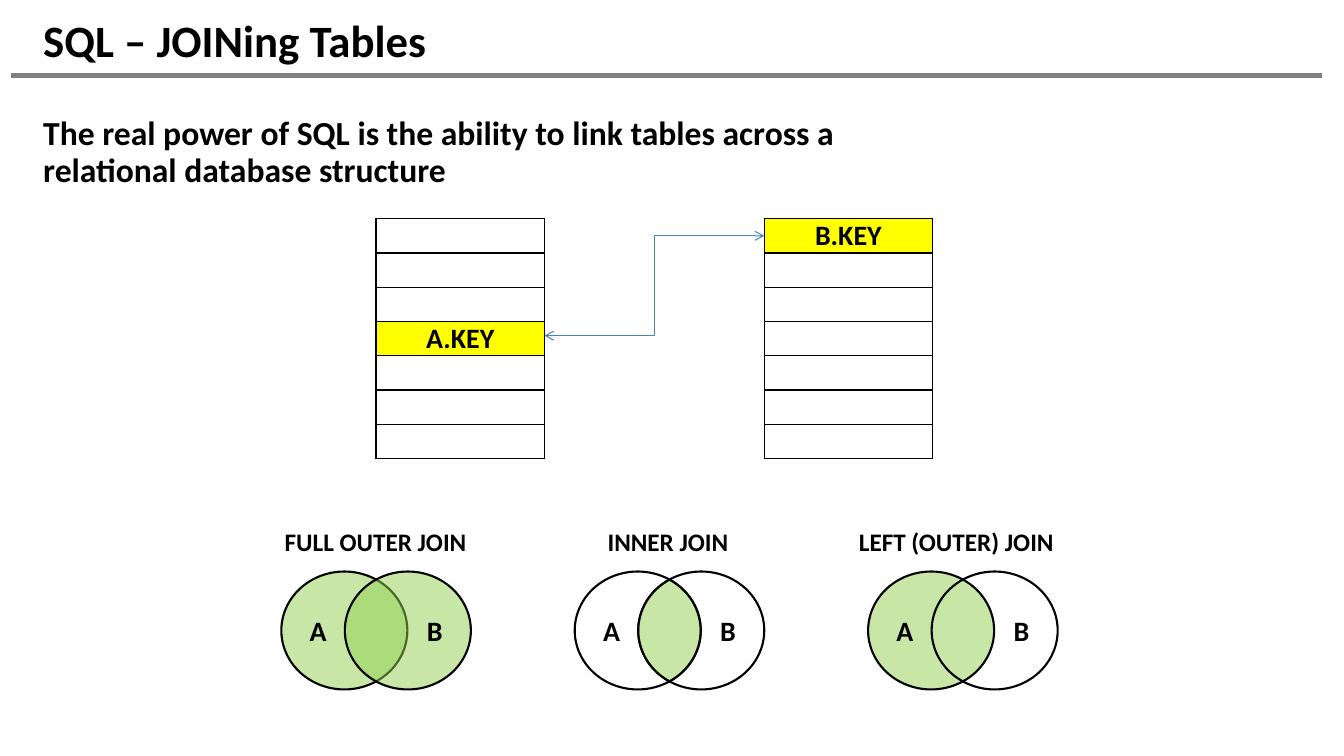
from dataclasses import dataclass
from math import acos, cos, sin

from lxml import etree
from pptx import Presentation
from pptx.dml.color import RGBColor
from pptx.enum.shapes import MSO_CONNECTOR, MSO_SHAPE
from pptx.enum.text import MSO_ANCHOR, MSO_AUTO_SIZE, PP_ALIGN
from pptx.oxml.ns import qn
from pptx.util import Inches, Pt

STRAIGHT, ELBOW = MSO_CONNECTOR.STRAIGHT, MSO_CONNECTOR.ELBOW
OVAL = MSO_SHAPE.OVAL
TOP, MIDDLE = MSO_ANCHOR.TOP, MSO_ANCHOR.MIDDLE
LEFT, CENTER, RIGHT = PP_ALIGN.LEFT, PP_ALIGN.CENTER, PP_ALIGN.RIGHT


@dataclass(frozen=True)
class Theme:
    font: str = "Calibri"
    ink: str = "000000"
    rule: str = "808080"
    link: str = "4B7EBC"
    key: str = "FFFF00"
    joined: str = "92D050"
    title: int = 32
    body: int = 24
    letter: int = 20
    label: int = 18


THEME = Theme()
ROWS, ROW_H, COL_W, TABLE_TOP = 7, 0.34, 1.67, 2.17
OVAL_W, OVAL_H, OVAL_TOP, OVAL_STEP = 1.25, 1.17, 5.67, 0.63


def rgb(color):
    return RGBColor.from_string(color)


def write(tf, text, size, align=LEFT, spacing=None):
    p = tf.paragraphs[0]
    p.alignment = align
    if spacing:
        p.line_spacing = spacing
    r = p.add_run()
    r.text = text
    r.font.name, r.font.size, r.font.bold = THEME.font, Pt(size), True
    r.font.color.rgb = rgb(THEME.ink)


def add_text(slide, box, text, size, anchor=TOP, grow=False, **fmt):
    tf = slide.shapes.add_textbox(*map(Inches, box)).text_frame
    tf.word_wrap = True
    tf.vertical_anchor = anchor
    tf.auto_size = MSO_AUTO_SIZE.SHAPE_TO_FIT_TEXT if grow else MSO_AUTO_SIZE.NONE
    write(tf, text, size, **fmt)


def add_line(slide, kind, start, end, color, width, arrows=False):
    line = slide.shapes.add_connector(kind, *map(Inches, start + end))
    line.line.color.rgb = rgb(color)
    line.line.width = Pt(width)
    if arrows:
        ln = line.line._get_or_add_ln()
        for tag in ("a:headEnd", "a:tailEnd"):
            etree.SubElement(ln, qn(tag), type="arrow")
    etree.SubElement(line._element.spPr, qn("a:effectLst"))


def border(cell):
    tcPr = cell._tc.get_or_add_tcPr()
    for side in "LRTB":
        ln = etree.SubElement(tcPr, qn("a:ln" + side), w=str(Pt(1)))
        fill = etree.SubElement(ln, qn("a:solidFill"))
        etree.SubElement(fill, qn("a:srgbClr"), val=THEME.ink)


def add_key_table(slide, left, key_row, key):
    """Draw a one-column table with its key row highlighted."""
    table = slide.shapes.add_table(
        ROWS, 1, Inches(left), Inches(TABLE_TOP), Inches(COL_W), Inches(ROWS * ROW_H)
    ).table
    table.first_row = table.horz_banding = False
    for i, row in enumerate(table.rows):
        row.height = Inches(ROW_H)
        cell = row.cells[0]
        cell.margin_left = cell.margin_right = cell.margin_top = cell.margin_bottom = 0
        border(cell)
        if i == key_row:
            cell.fill.solid()
            cell.fill.fore_color.rgb = rgb(THEME.key)
            write(cell.text_frame, key, THEME.letter, align=CENTER)
        else:
            cell.fill.background()


def paint(sp, filled):
    """Outline a Venn region and, if filled, tint it half transparent."""
    sp.shadow.inherit = False
    sp.line.color.rgb = rgb(THEME.ink)
    sp.line.width = Pt(1.5)
    if filled:
        sp.fill.solid()
        sp.fill.fore_color.rgb = rgb(THEME.joined)
        color = sp._element.spPr.find(qn("a:solidFill"))[0]
        etree.SubElement(color, qn("a:alpha"), val="50000")
    else:
        sp.fill.background()


def add_oval(slide, left, letter, align, filled):
    sp = slide.shapes.add_shape(
        OVAL, *map(Inches, (left, OVAL_TOP, OVAL_W, OVAL_H)))
    paint(sp, filled)
    sp.text_frame.vertical_anchor = MIDDLE
    write(sp.text_frame, letter, THEME.letter, align=align)


def add_overlap(slide, left, steps=32):
    """Fill the lens shared by the two ovals of the diagram at left."""
    rx, ry = OVAL_W / 2, OVAL_H / 2
    cx, cy = left + rx + OVAL_STEP / 2, OVAL_TOP + ry
    limit = acos(OVAL_STEP / OVAL_W)
    angles = [limit * (2 * i / steps - 1) for i in range(steps + 1)]
    arc = [(rx * cos(a) - OVAL_STEP / 2, ry * sin(a)) for a in angles]
    points = [(Inches(cx + s * x), Inches(cy + s * y)) for s in (1, -1) for x, y in arc]
    builder = slide.shapes.build_freeform(*points[0])
    builder.add_line_segments(points[1:], close=True)
    paint(builder.convert_to_shape(), True)


def add_venn(slide, left, label_left, label, fill_a, fill_b, overlap=False):
    add_oval(slide, left, "A", LEFT, fill_a)
    add_oval(slide, left + OVAL_STEP, "B", RIGHT, fill_b)
    if overlap:
        add_overlap(slide, left)
    add_text(slide, (label_left, 5.17, 2.25, 0.4), label, THEME.label,
             grow=True, align=CENTER)


def main():
    prs = Presentation()
    prs.slide_width, prs.slide_height = Inches(13.33), Inches(7.5)
    slide = prs.slides.add_slide(prs.slide_layouts[6])

    add_line(slide, STRAIGHT, (0.11, 0.75), (13.11, 0.75), THEME.rule, 3)
    add_text(slide, (0.33, 0.17, 12.78, 0.45), "SQL – JOINing Tables",
             THEME.title, anchor=MIDDLE)
    add_text(slide, (0.33, 1.11, 9.25, 0.79),
             "The real power of SQL is the ability to link tables across a "
             "relational database structure", THEME.body, spacing=0.9)

    a_left, b_left = 3.73, 7.58
    add_key_table(slide, a_left, 3, "A.KEY")
    add_key_table(slide, b_left, 0, "B.KEY")
    add_line(slide, ELBOW, (a_left + COL_W, 3.33), (b_left, 2.34),
             THEME.link, 0.75, arrows=True)

    add_venn(slide, 2.79, 2.6, "FULL OUTER JOIN", True, True)
    add_venn(slide, 5.7, 5.5, "INNER JOIN", False, False, overlap=True)
    add_venn(slide, 8.61, 8.36, "LEFT (OUTER) JOIN", True, False)
    prs.save("out.pptx")


if __name__ == "__main__":
    main()
